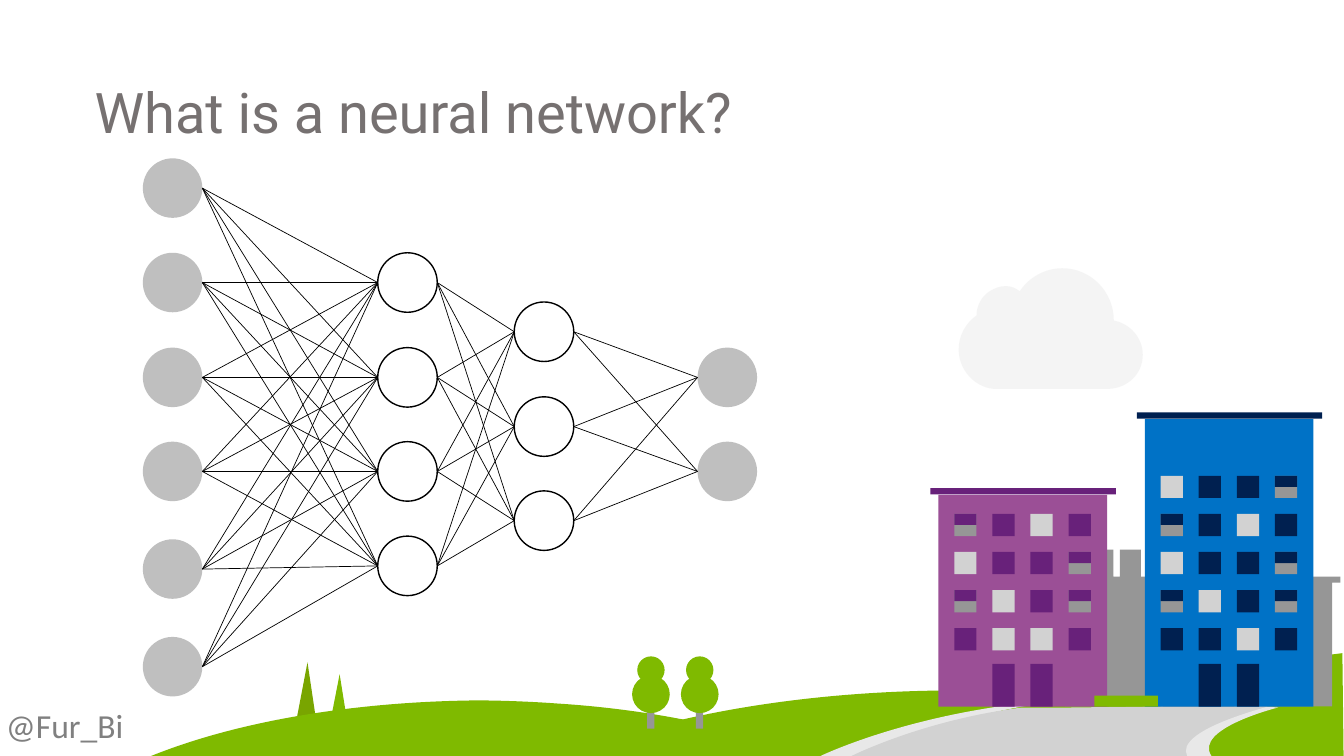
"""Builds a slide that shows a layered neural network beside a small town scene."""
import dataclasses

import lxml.etree
import pptx
import pptx.dml.color
import pptx.enum.shapes
import pptx.enum.text
import pptx.oxml.ns
import pptx.util

Cm = pptx.util.Cm
Pt = pptx.util.Pt
qn = pptx.oxml.ns.qn
RECTANGLE = pptx.enum.shapes.MSO_SHAPE.RECTANGLE
OVAL = pptx.enum.shapes.MSO_SHAPE.OVAL


@dataclasses.dataclass(frozen=True)
class Theme:
    title: str = "767171"
    handle: str = "808080"
    node: str = "BFBFBF"
    white: str = "FFFFFF"
    black: str = "000000"
    grass: str = "7FBA00"
    conifer: str = "79A500"
    road: str = "D2D2D2"
    curb: str = "E8E8E8"
    cloud: str = "F2F2F2"
    stone: str = "969696"
    purple: str = "9B4F96"
    dark_purple: str = "68217A"
    blue: str = "0072C6"
    navy: str = "002050"
    title_font: str = "Roboto"
    handle_font: str = "Calibri"
    title_size: int = 40
    handle_size: int = 24


theme = Theme()
rgb = pptx.dml.color.RGBColor.from_string

deck = pptx.Presentation()
deck.slide_width, deck.slide_height = Cm(33.87), Cm(19.05)
page = deck.slides.add_slide(deck.slide_layouts[5])


def add_block(preset, left, top, width, height, color):
    """Add a plain filled preset shape, measured in centimetres."""
    block = page.shapes.add_shape(preset, Cm(left), Cm(top), Cm(width), Cm(height))
    block.shadow.inherit = False
    block.fill.solid()
    block.fill.fore_color.rgb = rgb(color)
    block.line.fill.background()
    return block


def add_outline(color, start, *segments):
    """Add a filled outline; pairs are straight lines, sixes are cubic curves."""
    points = [(Cm(segment[i]), Cm(segment[i + 1]))
              for segment in segments for i in range(0, len(segment), 2)]
    builder = page.shapes.build_freeform(Cm(start[0]), Cm(start[1]))
    builder.add_line_segments(points, close=True)
    outline = builder.convert_to_shape()
    outline.shadow.inherit = False
    outline.fill.solid()
    outline.fill.fore_color.rgb = rgb(color)
    outline.line.fill.background()
    geometry = next(outline._element.iter(qn("a:path")))
    lines = iter(geometry.findall(qn("a:lnTo")))
    for segment in segments:
        steps = [next(lines) for _ in range(len(segment) // 2)]
        if len(steps) == 3:
            curve = lxml.etree.SubElement(geometry, qn("a:cubicBezTo"))
            steps[0].addprevious(curve)
            for step in steps:
                curve.append(step[0])
                geometry.remove(step)
    return outline


add_outline(theme.conifer, (7.75, 16.69), (7.39, 18.57), (8.03, 18.57))
add_outline(theme.grass, (19.46, 18.19), (19.02, 18.16, 18.44, 18.14, 18.11, 18.14),
            (16.18, 18.16, 14.25, 18.44, 12.78, 19.05), (23.6, 19.05),
            (22.43, 18.57, 20.96, 18.29, 19.46, 18.19))
add_outline(theme.grass, (14.07, 17.73), (13.4, 17.68, 12.6, 17.65, 12.01, 17.65),
            (9.04, 17.68, 6.07, 18.14, 3.81, 19.05), (20.45, 19.05),
            (18.64, 18.34, 16.41, 17.88, 14.07, 17.73))
add_outline(theme.grass, (33.83, 16.46), (33.76, 16.46, 26.21, 17.48, 26.14, 17.48),
            (25.3, 17.42, 24.5, 17.4, 23.93, 17.4),
            (20.42, 17.42, 16.92, 17.96, 14.22, 19.05), (33.86, 19.05))
add_outline(theme.curb, (26.62, 17.68), (26.52, 17.65),
            (22.99, 17.93, 20.68, 19.05, 20.68, 19.05), (21.79, 19.05),
            (21.79, 19.05, 23.98, 17.98, 26.62, 17.68))
add_outline(theme.road, (32.18, 17.81), (31.04, 17.73, 26.92, 17.86, 25.76, 17.83),
            (23.27, 18.14, 21.46, 19.05, 21.46, 19.05), (29.95, 19.05),
            (29.57, 18.39, 32.05, 17.86, 32.18, 17.81))
add_outline(theme.curb, (32.21, 17.83), (31.93, 17.81),
            (31.8, 17.86, 29.59, 18.42, 29.92, 19.05), (30.53, 19.05),
            (30.07, 18.36, 32.21, 17.83, 32.21, 17.83))

cloud = add_outline(theme.cloud, (28.07, 8.08), (28.07, 7.34, 27.48, 6.76, 26.77, 6.76),
                    (26.34, 6.76, 25.93, 6.99, 25.7, 7.34),
                    (25.6, 7.26, 25.48, 7.21, 25.35, 7.21),
                    (25.2, 7.21, 25.07, 7.26, 24.94, 7.34),
                    (24.74, 7.47, 24.61, 7.7, 24.61, 7.95),
                    (24.33, 8.15, 24.16, 8.46, 24.16, 8.81),
                    (24.16, 9.3, 24.54, 9.75, 25.04, 9.8), (27.94, 9.8),
                    (28.42, 9.78, 28.8, 9.42, 28.8, 8.94),
                    (28.8, 8.51, 28.47, 8.15, 28.07, 8.08))
cloud_color = cloud._element.spPr.find(qn("a:solidFill")).find(qn("a:srgbClr"))
lxml.etree.SubElement(cloud_color, qn("a:alpha")).set("val", "80000")

for tree_left in (15.93, 17.16):
    add_block(RECTANGLE, tree_left + 0.38, 17.65, 0.18, 0.71, theme.stone)
    add_block(OVAL, tree_left, 17.02, 0.95, 0.95, theme.grass)
    add_block(OVAL, tree_left + 0.13, 16.54, 0.69, 0.69, theme.grass)

tower = [(2.11, 14.53), (2.11, 13.85), (1.58, 13.85), (1.58, 14.53), (1.42, 14.53),
         (1.42, 13.85), (0.91, 13.85), (0.91, 14.53), (0, 14.53), (0, 14.68),
         (0.2, 14.68), (0.2, 17.8), (4.46, 17.8), (4.46, 14.68), (4.67, 14.68),
         (4.67, 14.53)]
for tower_left in (26.64, 29.11):
    add_outline(theme.stone, *[(tower_left + x, y) for x, y in tower])

pitch, pane, ground = 0.96, 0.56, 17.81
buildings = [
    (23.65, 12.47, 12.95, theme.purple, theme.dark_purple,
     ["HDLD", "LDDH", "HLDH", "DLLD"]),
    (28.85, 10.56, 11.99, theme.blue, theme.navy,
     ["LDDH", "HDLD", "LDDH", "HLDH", "DDLD"]),
]
for left, top, first_row, wall, trim, windows in buildings:
    add_block(RECTANGLE, left, top, 4.25, ground - top, wall)
    add_block(RECTANGLE, left - 0.2, top - 0.17, 4.67, 0.16, trim)
    pane_colors = {"D": trim, "L": theme.road, "H": theme.stone}
    for row, kinds in enumerate(windows):
        for column, kind in enumerate(kinds):
            x, y = left + 0.4 + column * pitch, first_row + row * pitch
            add_block(RECTANGLE, x, y, pane, pane, pane_colors[kind])
            if kind == "H":
                add_block(RECTANGLE, x, y, pane, pane / 2, trim)
    for column in (1, 2):
        add_block(RECTANGLE, left + 0.4 + column * pitch, 16.73, pane, 1.08, trim)

add_block(RECTANGLE, 27.58, 17.53, 1.6, 0.28, theme.grass)
add_outline(theme.grass, (8.56, 16.99), (8.28, 18.42), (8.79, 18.42))

title = page.shapes.title
title.left, title.top, title.width, title.height = Cm(2.13), Cm(1.83), Cm(20.98), Cm(1.96)
handle = page.shapes.add_textbox(Cm(-0.1), Cm(17.65), Cm(6.88), Cm(1.27))
labels = [
    (title, "What is a neural network?", theme.title_font, theme.title_size, theme.title),
    (handle, "@Fur_Bi", theme.handle_font, theme.handle_size, theme.handle),
]
for box, words, font, size, color in labels:
    frame = box.text_frame
    frame.text = words
    frame.word_wrap = True
    frame.auto_size = pptx.enum.text.MSO_AUTO_SIZE.NONE
    para = frame.paragraphs[0]
    para.alignment = pptx.enum.text.PP_ALIGN.LEFT
    span = para.runs[0]
    span.font.name, span.font.size = font, Pt(size)
    span.font.color.rgb = rgb(color)

diameter = 1.5
layers = [
    (3.6, [3.99, 6.37, 8.76, 11.13, 13.59, 16.05], False),
    (9.52, [6.37, 8.76, 11.13, 13.51], True),
    (12.96, [7.61, 10, 12.37], True),
    (17.58, [8.76, 11.13], False),
]
for left, tops, hidden in layers:
    for top in tops:
        node = add_block(OVAL, left, top, diameter, diameter,
                         theme.white if hidden else theme.node)
        if hidden:
            node.line.color.rgb = rgb(theme.black)
            node.line.width = Pt(1)

for (left, tops, _), (next_left, next_tops, _) in zip(layers, layers[1:]):
    for top in tops:
        for next_top in next_tops:
            link = page.shapes.add_connector(
                pptx.enum.shapes.MSO_CONNECTOR.STRAIGHT,
                Cm(left + diameter), Cm(top + diameter / 2),
                Cm(next_left), Cm(next_top + diameter / 2))
            link.line.color.rgb = rgb(theme.black)
            link.line.width = Pt(0.5)
            lxml.etree.SubElement(link._element.spPr, qn("a:effectLst"))

deck.save("out.pptx")
